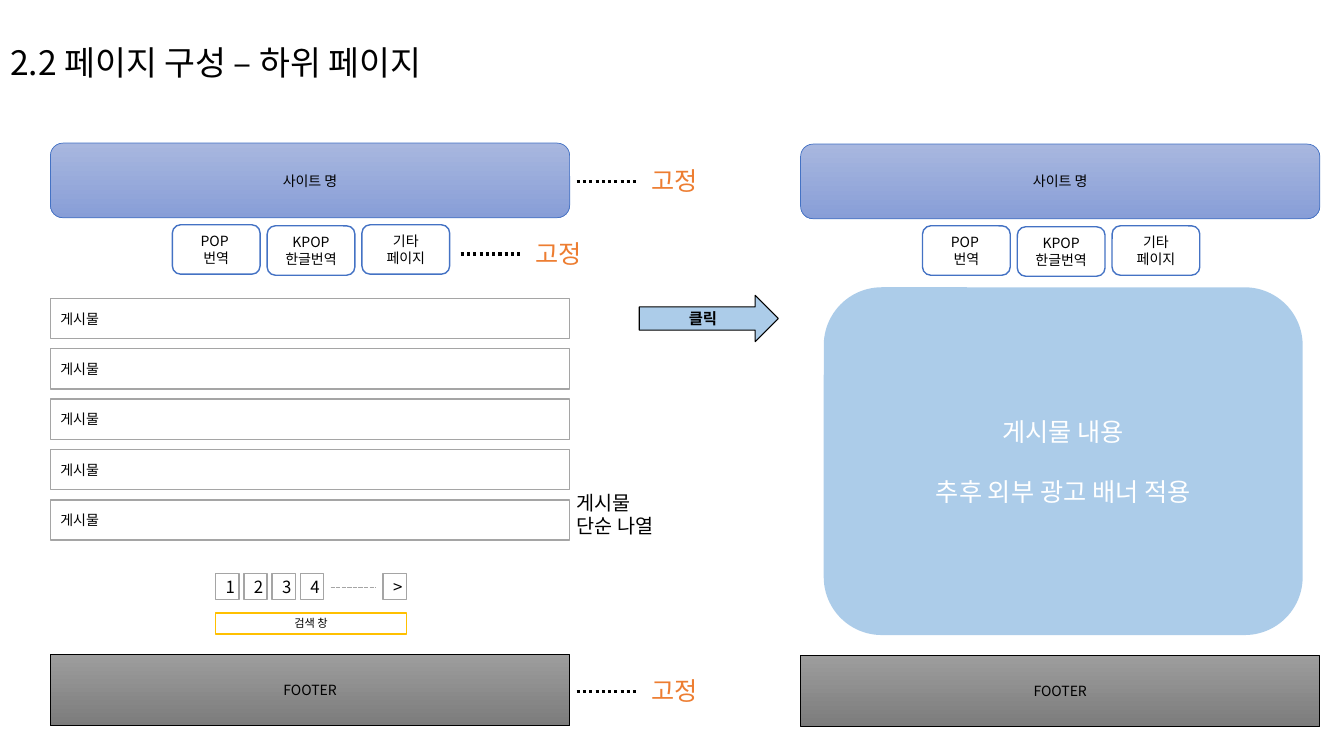
from lxml.etree import SubElement
from pptx import Presentation
from pptx.dml.color import RGBColor
from pptx.enum.dml import MSO_LINE
from pptx.enum.shapes import MSO_CONNECTOR, MSO_SHAPE as SHAPE
from pptx.enum.text import MSO_ANCHOR as ANCHOR, MSO_AUTO_SIZE, PP_ALIGN as ALIGN
from pptx.oxml.ns import qn
from pptx.util import Inches, Pt

# Content
TITLE = "2.2 페이지 구성 – 하위 페이지"
SITE, FOOTER, POST, SEARCH = "사이트 명", "FOOTER", "게시물", "검색 창"
TABS = [["POP ", "번역"], ["KPOP", "한글번역"], ["기타", "페이지"]]
TAB_DROP = [0, 0.01, 0]
PAGES = ["1", "2", "3", "4"]
NEXT, FIXED, CLICK = ">", "고정", "클릭"
LIST_NOTE = ["게시물 ", "단순 나열"]
DETAIL = ["게시물 내용", "추후 외부 광고 배너 적용"]
POST_COUNT = 5

# Colours and font
FONT = "Noto Sans CJK KR"
BLACK, WHITE = RGBColor(0, 0, 0), RGBColor(255, 255, 255)
BLUE, SKY = RGBColor(0x44, 0x72, 0xC4), RGBColor(0x5B, 0x9B, 0xD5)
GRAY, GOLD = RGBColor(0xA5, 0xA5, 0xA5), RGBColor(0xFF, 0xC0, 0x00)
ORANGE = RGBColor(0xED, 0x7D, 0x31)
HEADER_FILL = [RGBColor(0xA8, 0xB7, 0xDF), RGBColor(0x88, 0x9E, 0xD7)]
FOOTER_FILL = [RGBColor(0x9D, 0x9D, 0x9D), RGBColor(0x7C, 0x7C, 0x7C)]

# Grid, in inches
LEFT, WIDTH = 0.5, 5.15
HEADER_TOP, HEADER_H = 1.42, 0.74
TAB_X, TAB_TOP, TAB_W, TAB_H, TAB_STEP = 1.21, 2.23, 0.87, 0.49, 0.94
POST_TOP, POST_H, POST_STEP = 2.96, 0.4, 0.5
PAGER_X, PAGER_TOP, PAGER_W, PAGER_H, PAGER_STEP = 2.14, 5.69, 0.23, 0.26, 0.28
NEXT_X = 3.8
FOOTER_TOP, FOOTER_H = 6.49, 0.71
SECOND_X, SECOND_DROP = 7.44, 0.01

prs = Presentation()
prs.slide_width, prs.slide_height = Inches(13.33), Inches(7.5)
slide = prs.slides.add_slide(prs.slide_layouts[5])
shapes = slide.shapes


def write(sp, lines, size, color=BLACK, align=ALIGN.CENTER, anchor=ANCHOR.MIDDLE,
          bold=False, gap=0):
    tf = sp.text_frame
    tf.word_wrap, tf.vertical_anchor = True, anchor
    for i, line in enumerate(lines):
        p = tf.add_paragraph() if i else tf.paragraphs[0]
        p.alignment = align
        if i and gap:
            p.space_before = Pt(gap)
        r = p.add_run()
        r.text = line
        r.font.size, r.font.bold, r.font.name = Pt(size), bold, FONT
        r.font.color.rgb = color
        SubElement(r.font._element, qn("a:ea"), typeface=FONT)
    return tf


def box(kind, x, y, w, h, lines, size=10, fill=WHITE, line=None, weight=1,
        alpha=None, **text):
    sp = shapes.add_shape(kind, Inches(x), Inches(y), Inches(w), Inches(h))
    sp.shadow.inherit = False
    if isinstance(fill, list):
        sp.fill.gradient()
        sp.fill.gradient_angle = 270
        for stop, color in zip(sp.fill.gradient_stops, fill):
            stop.color.rgb = color
    else:
        sp.fill.solid()
        sp.fill.fore_color.rgb = fill
    if alpha:
        clr = sp._element.spPr.find(qn("a:solidFill"))[0]
        SubElement(clr, qn("a:alpha"), val=str(alpha * 1000))
    if line is None:
        sp.line.fill.background()
    else:
        sp.line.color.rgb, sp.line.width = line, Pt(weight)
    write(sp, lines, size, **text)


def label(x, y, w, h, lines, size, **text):
    sp = shapes.add_textbox(Inches(x), Inches(y), Inches(w), Inches(h))
    write(sp, lines, size, **text)


def dashes(x, y, w, color, weight, style):
    ln = shapes.add_connector(MSO_CONNECTOR.STRAIGHT, Inches(x), Inches(y),
                              Inches(x + w), Inches(y))
    ln.line.color.rgb, ln.line.width, ln.line.dash_style = color, Pt(weight), style
    SubElement(ln._element.spPr, qn("a:effectLst"))


def page_frame(x, drop):
    """Header, tabs and footer shared by both pages."""
    box(SHAPE.ROUNDED_RECTANGLE, x, HEADER_TOP + drop, WIDTH, HEADER_H, [SITE],
        fill=HEADER_FILL, line=BLUE, weight=0.5)
    for i, (tab, shift) in enumerate(zip(TABS, TAB_DROP)):
        box(SHAPE.ROUNDED_RECTANGLE, x + TAB_X + i * TAB_STEP, TAB_TOP + shift + drop,
            TAB_W, TAB_H, tab, line=BLUE)
    box(SHAPE.RECTANGLE, x, FOOTER_TOP + drop, WIDTH, FOOTER_H, [FOOTER],
        fill=FOOTER_FILL, line=BLACK, weight=0.5)


# Title
title = shapes.title
title.left, title.top, title.width, title.height = map(Inches, (0, 0.22, 4.97, 0.65))
tf = write(title, [TITLE], 24, align=ALIGN.LEFT, anchor=ANCHOR.BOTTOM)
tf.auto_size = MSO_AUTO_SIZE.NONE
tf.paragraphs[0].line_spacing = 0.9

# Both pages
page_frame(LEFT, 0)
page_frame(LEFT + SECOND_X, SECOND_DROP)

# Post list
for i in range(POST_COUNT):
    box(SHAPE.RECTANGLE, LEFT, POST_TOP + i * POST_STEP, WIDTH, POST_H, [POST],
        line=GRAY, align=ALIGN.LEFT)
label(5.62, 4.82, 1.43, 0.57, LIST_NOTE, 14, align=ALIGN.LEFT, anchor=ANCHOR.TOP)

# Pager and search field
pager = [(PAGER_X + i * PAGER_STEP, page) for i, page in enumerate(PAGES)]
for x, mark in pager + [(NEXT_X, NEXT)]:
    box(SHAPE.RECTANGLE, x, PAGER_TOP, PAGER_W, PAGER_H, [mark], 12, line=GRAY)
dashes(3.28, 5.83, 0.45, GRAY, 1, MSO_LINE.SQUARE_DOT)
box(SHAPE.RECTANGLE, PAGER_X, 6.08, NEXT_X + PAGER_W - PAGER_X, 0.21, [SEARCH], 8,
    line=GOLD)

# Notes on the fixed parts
for x, y in [(5.72, 1.8), (4.57, 2.52), (5.72, 6.86)]:
    dashes(x, y, 0.62, BLACK, 2.25, MSO_LINE.ROUND_DOT)
    label(x + 0.4, y - 0.25, 1.14, 0.48, [FIXED], 18, color=ORANGE)

# Click arrow and post detail
box(SHAPE.RIGHT_ARROW, 6.34, 2.93, 1.38, 0.46, [CLICK], 11, fill=SKY, alpha=50,
    line=BLACK, weight=0.75, bold=True)
box(SHAPE.ROUNDED_RECTANGLE, 8.17, 2.85, 4.75, 3.45, DETAIL, 18, fill=SKY, alpha=50,
    color=WHITE, gap=21.5)

prs.save("out.pptx")
